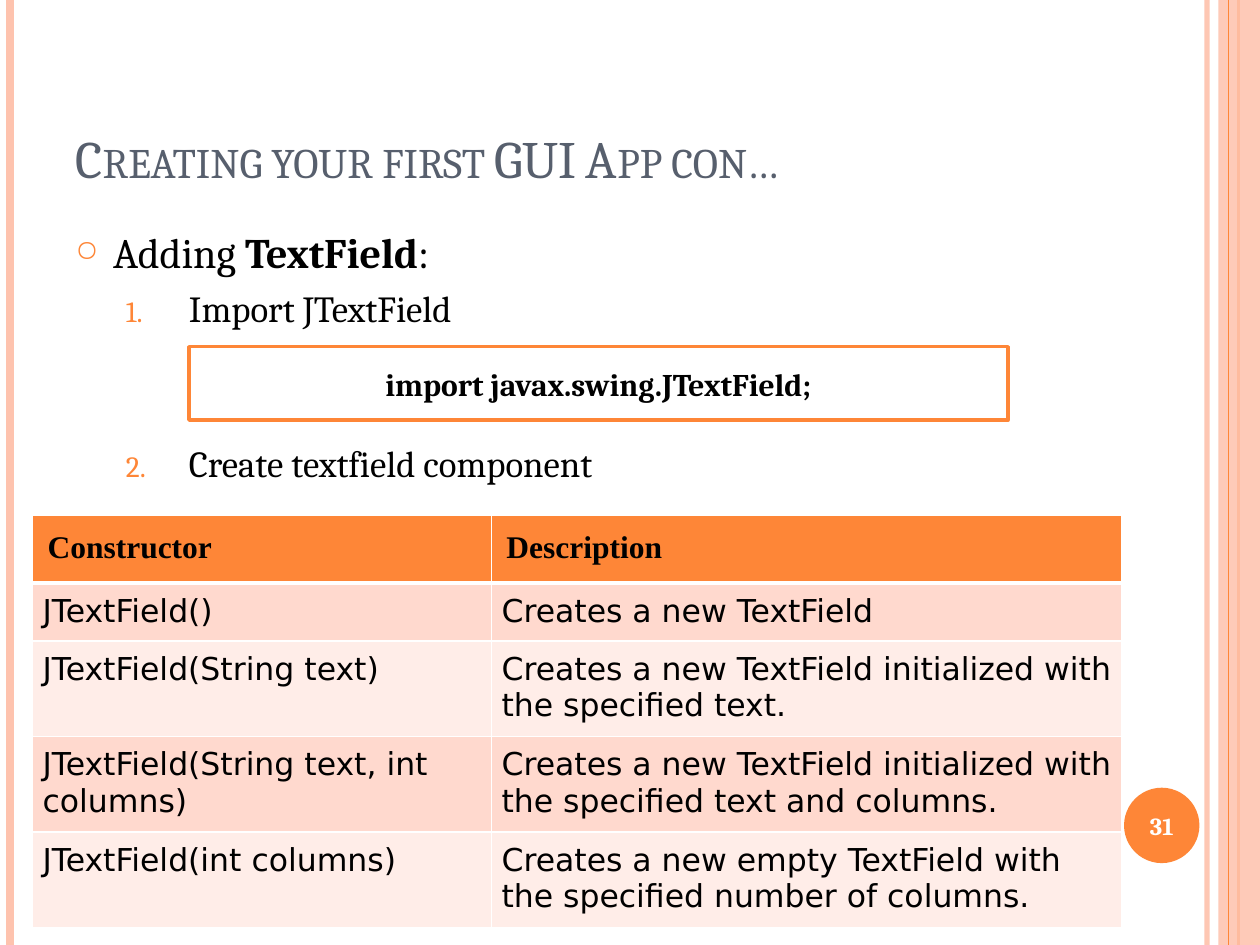
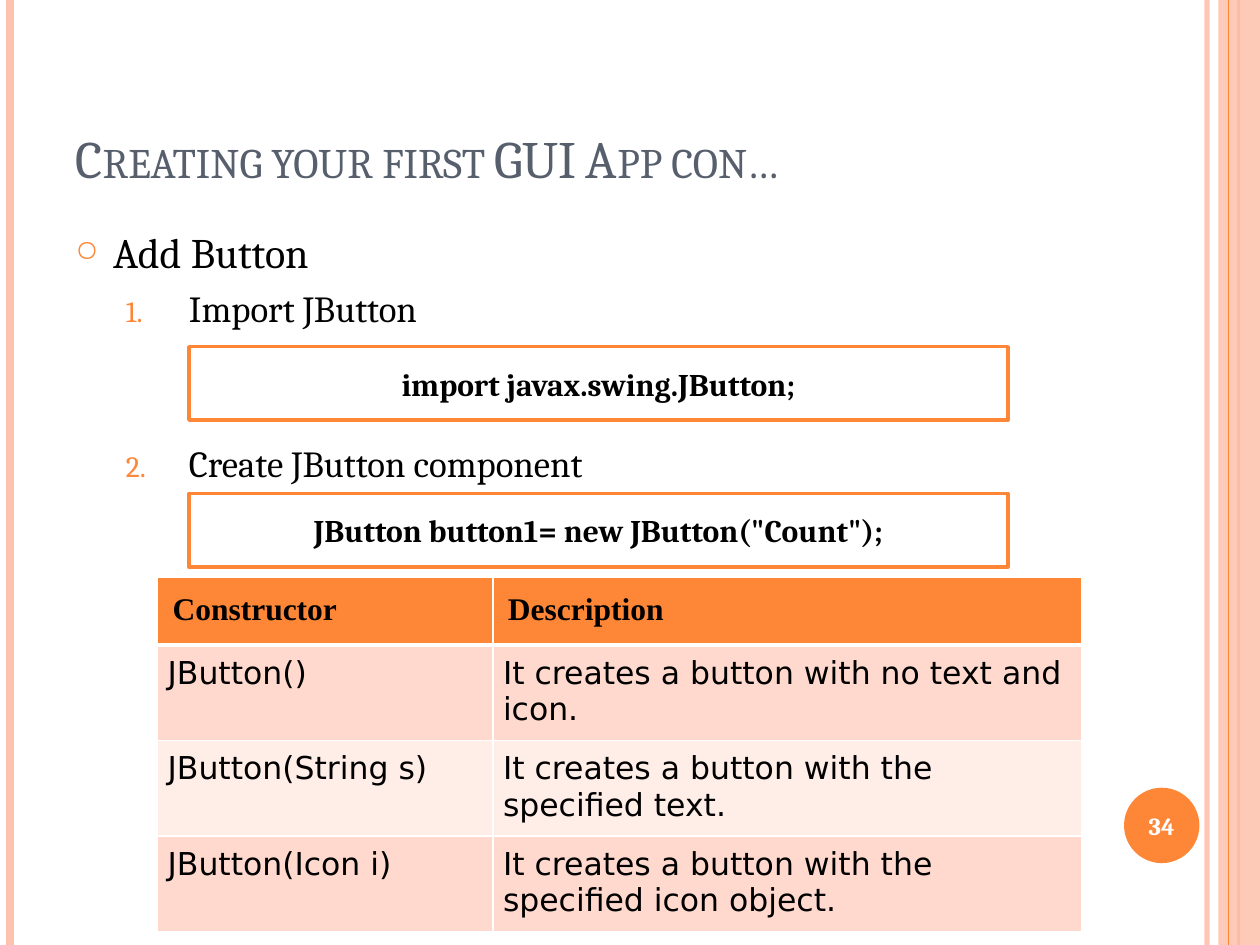
from lxml import etree
from pptx import Presentation
from pptx.dml.color import RGBColor
from pptx.enum.shapes import MSO_CONNECTOR, MSO_SHAPE
from pptx.enum.text import MSO_ANCHOR as Anchor, PP_ALIGN as Align
from pptx.oxml.ns import qn
from pptx.util import Cm, Pt

COLORS = {
    "background": "FFFFFF",
    "accent": "FE8637",
    "stripe": "FEC3AE",
    "title": "575F6D",
    "text": "000000",
    "row_dark": "FFD9CE",
    "row_light": "FFEDE8",
}
SERIF, HEADER_FONT, CELL_FONT = "Cambria", "Times New Roman", "DejaVu Sans"
WIDTH, HEIGHT = 25.4, 19.05
TITLE = "Creating your first GUI App con…"
# Row heights for one and two lines of text
HEADER_ROW, ONE_LINE, TWO_LINES = 1.31, 1.17, 1.89


def rgb(name):
    return RGBColor.from_string(COLORS[name])


def add_xml(parent, tag, **attributes):
    return etree.SubElement(parent, qn(tag), attributes)


def set_alpha(color_format_owner, percent):
    """Make the solid colour inside an element partly transparent."""
    color = next(color_format_owner.iter(qn("a:srgbClr")))
    add_xml(color, "a:alpha", val=str(percent * 1000))


def style(paragraph, size, color="text", font=SERIF, bold=False, align=Align.LEFT):
    paragraph.alignment = align
    paragraph.font.size = Pt(size)
    paragraph.font.name = font
    paragraph.font.bold = bold
    paragraph.font.color.rgb = rgb(color)


# Basic elements
def add_stripe(slide, x, width, color, alpha=None):
    line = slide.shapes.add_connector(
        MSO_CONNECTOR.STRAIGHT, Cm(x), Cm(0), Cm(x), Cm(HEIGHT))
    line.line.color.rgb = rgb(color)
    line.line.width = Pt(width)
    properties = line._element.spPr
    if alpha:
        set_alpha(properties, alpha)
    add_xml(properties, "a:effectLst")


def add_filled_shape(slide, kind, left, top, width, height, fill):
    shape = slide.shapes.add_shape(kind, Cm(left), Cm(top), Cm(width), Cm(height))
    shape.shadow.inherit = False
    shape.fill.solid()
    shape.fill.fore_color.rgb = rgb(fill)
    shape.line.fill.background()
    return shape


def write_centred(shape, text, size, color):
    frame = shape.text_frame
    frame.vertical_anchor = Anchor.MIDDLE
    frame.paragraphs[0].text = text
    style(frame.paragraphs[0], size, color, bold=True, align=Align.CENTER)


def add_text_frame(slide, left, top, width, height):
    box = slide.shapes.add_textbox(Cm(left), Cm(top), Cm(width), Cm(height))
    box.text_frame.word_wrap = True
    return box.text_frame


# Parts shared by the slides
def add_decoration(slide, number):
    slide.background.fill.solid()
    slide.background.fill.fore_color.rgb = rgb("background")
    add_stripe(slide, 24.33, 3, "stripe", alpha=93)
    add_stripe(slide, 0.2, 4.5, "stripe")
    add_stripe(slide, 24.97, 1.5, "accent")
    band = add_filled_shape(
        slide, MSO_SHAPE.RECTANGLE, 24.56, 0, WIDTH - 24.56, HEIGHT, "stripe")
    set_alpha(band._element.spPr, 87)
    add_stripe(slide, 24.77, 0.75, "accent")
    badge = add_filled_shape(slide, MSO_SHAPE.OVAL, 22.66, 15.88, 1.52, 1.52, "accent")
    frame = badge.text_frame
    frame.margin_left = frame.margin_right = 0
    write_centred(badge, str(number), 14, "background")


def add_title(slide):
    frame = add_text_frame(slide, 1.27, 0.76, 20.75, 3.18)
    frame.vertical_anchor = Anchor.BOTTOM
    paragraph = frame.paragraphs[0]
    run = paragraph.add_run()
    run.text = TITLE
    run._r.get_or_add_rPr().set("cap", "small")
    style(paragraph, 30, "title")


def set_bullet(paragraph, margin, hanging, size, tag, **attributes):
    properties = paragraph._p.get_or_add_pPr()
    properties.set("marL", str(Cm(margin)))
    properties.set("indent", str(-Cm(hanging)))
    bullet = [
        etree.Element(qn("a:buClr")),
        etree.Element(qn("a:buSzPct"), val=str(size * 1000)),
        etree.Element(qn(tag), attributes),
    ]
    add_xml(bullet[0], "a:srgbClr", val=COLORS["accent"])
    default_font = properties.find(qn("a:defRPr"))
    for element in bullet:
        default_font.addprevious(element)


def add_steps(slide, heading, steps):
    """Heading is a list of (text, bold); a code box follows the first step."""
    frame = add_text_frame(slide, 1.27, 4.45, 20.75, 13.54)
    paragraph = frame.paragraphs[0]
    for text, bold in heading:
        run = paragraph.add_run()
        run.text = text
        run.font.bold = bold
    paragraph.space_before = Pt(6)
    style(paragraph, 24)
    set_bullet(paragraph, 0.76, 0.76, 70, "a:buChar", char="○")
    for step, gap in zip(steps, (5, 63)):
        paragraph = frame.add_paragraph()
        paragraph.text = step
        paragraph.space_before = Pt(gap)
        style(paragraph, 21)
        set_bullet(paragraph, 2.29, 1.27, 80, "a:buAutoNum", type="arabicPeriod")


def add_code_box(slide, top, code):
    box = add_filled_shape(
        slide, MSO_SHAPE.RECTANGLE, 3.81, top, 16.51, 1.48, "background")
    box.line.color.rgb = rgb("accent")
    box.line.width = Pt(2)
    write_centred(box, code, 18, "text")


# Constructor table
def set_borders(cell, bottom):
    properties = cell._tc.get_or_add_tcPr()
    widths = {"a:lnL": 1, "a:lnR": 1, "a:lnT": 1, "a:lnB": bottom}
    for position, (tag, width) in enumerate(widths.items()):
        line = etree.Element(qn(tag), w=str(Pt(width)))
        add_xml(add_xml(line, "a:solidFill"), "a:srgbClr", val=COLORS["background"])
        properties.insert(position, line)


def fill_cell(cell, text, fill, font, margin, bold, bottom):
    cell.text = text
    cell.margin_left = cell.margin_right = Cm(margin)
    cell.margin_top = cell.margin_bottom = Cm(margin)
    cell.fill.solid()
    cell.fill.fore_color.rgb = rgb(fill)
    style(cell.text_frame.paragraphs[0], 18, font=font, bold=bold)
    set_borders(cell, bottom)


def add_constructor_table(slide, left, top, widths, entries):
    """Entries are (row height, constructor, description)."""
    rows = [(HEADER_ROW, "Constructor", "Description"), *entries]
    table = slide.shapes.add_table(
        len(rows), len(widths), Cm(left), Cm(top),
        Cm(sum(widths)), Cm(sum(row[0] for row in rows))).table
    for column, width in zip(table.columns, widths):
        column.width = Cm(width)
    for index, (height, *texts) in enumerate(rows):
        table.rows[index].height = Cm(height)
        if index == 0:
            look = ("accent", HEADER_FONT, 0.3, True, 3)
        else:
            fill = "row_dark" if index % 2 else "row_light"
            look = (fill, CELL_FONT, 0.2, False, 3 if index == 0 else 1)
        for column, text in enumerate(texts):
            fill_cell(table.cell(index, column), text, *look)
    for column in range(len(widths)):
        top_line = table.cell(1, column)._tc.tcPr.find(qn("a:lnT"))
        top_line.set("w", str(Pt(3)))


def add_base_slide(presentation, number):
    slide = presentation.slides.add_slide(presentation.slide_layouts[6])
    add_decoration(slide, number)
    add_title(slide)
    return slide


def main():
    presentation = Presentation()
    presentation.slide_width, presentation.slide_height = Cm(WIDTH), Cm(HEIGHT)

    # Text field
    slide = add_base_slide(presentation, 31)
    add_steps(slide, [("Adding ", False), ("TextField", True), (":", False)],
              ["Import JTextField", "Create textfield component"])
    add_constructor_table(slide, 0.66, 10.39, (9.25, 12.7), [
        (ONE_LINE, "JTextField()", "Creates a new TextField"),
        (TWO_LINES, "JTextField(String text)",
         "Creates a new TextField initialized with the specified text."),
        (TWO_LINES, "JTextField(String text, int columns)",
         "Creates a new TextField initialized with the specified text and columns."),
        (TWO_LINES, "JTextField(int columns)",
         "Creates a new empty TextField with the specified number of columns."),
    ])
    add_code_box(slide, 6.99, "import javax.swing.JTextField;")

    # Button
    slide = add_base_slide(presentation, 34)
    add_steps(slide, [("Add Button", False)],
              ["Import JButton", "Create JButton component"])
    add_constructor_table(slide, 3.18, 11.64, (6.76, 11.86), [
        (TWO_LINES, "JButton()", "It creates a button with no text and icon."),
        (TWO_LINES, "JButton(String s)",
         "It creates a button with the specified text."),
        (TWO_LINES, "JButton(Icon i)",
         "It creates a button with the specified icon object."),
    ])
    add_code_box(slide, 9.95, 'JButton button1= new JButton("Count");')
    add_code_box(slide, 6.99, "import javax.swing.JButton;")

    presentation.save("out.pptx")


if __name__ == "__main__":
    main()
